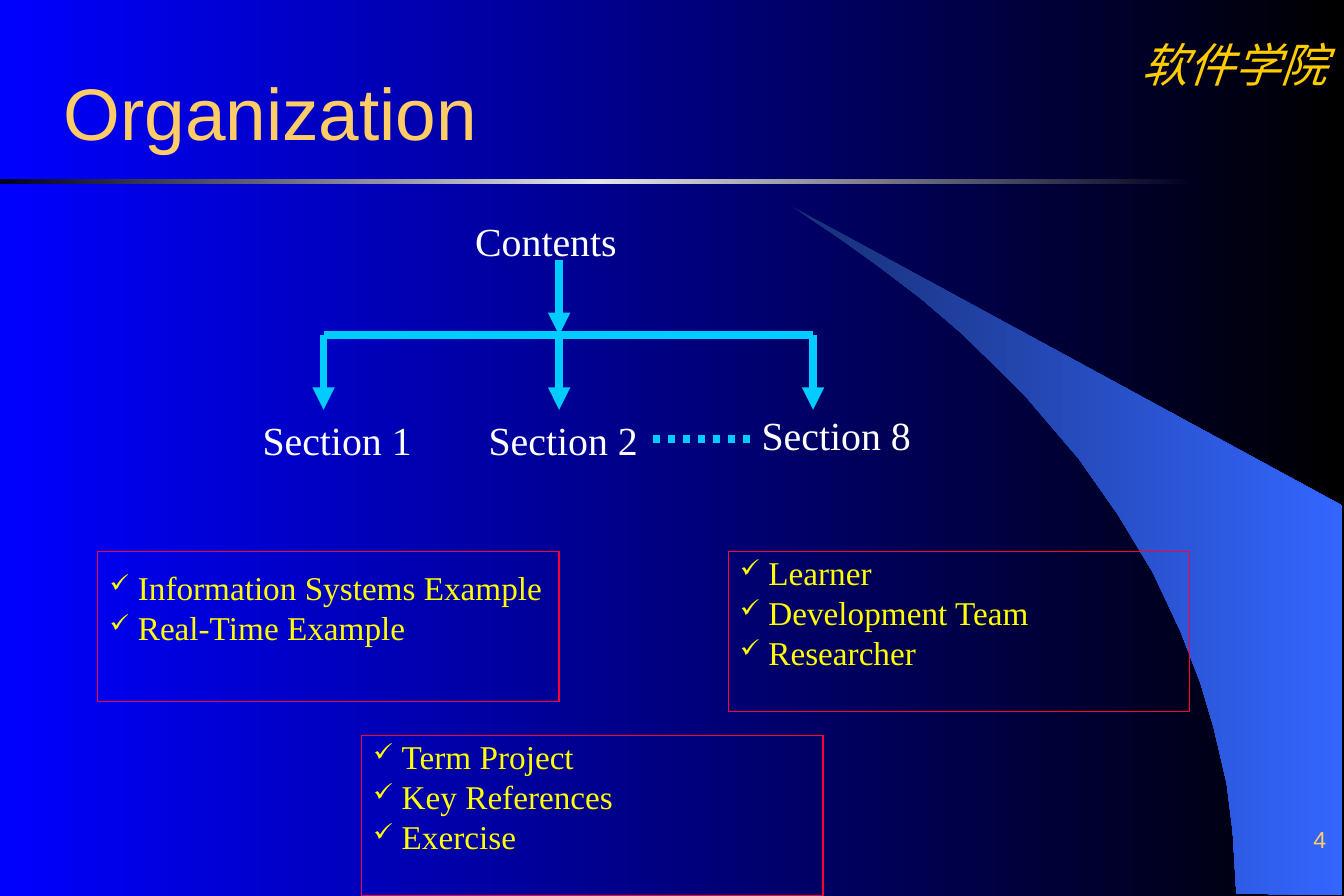
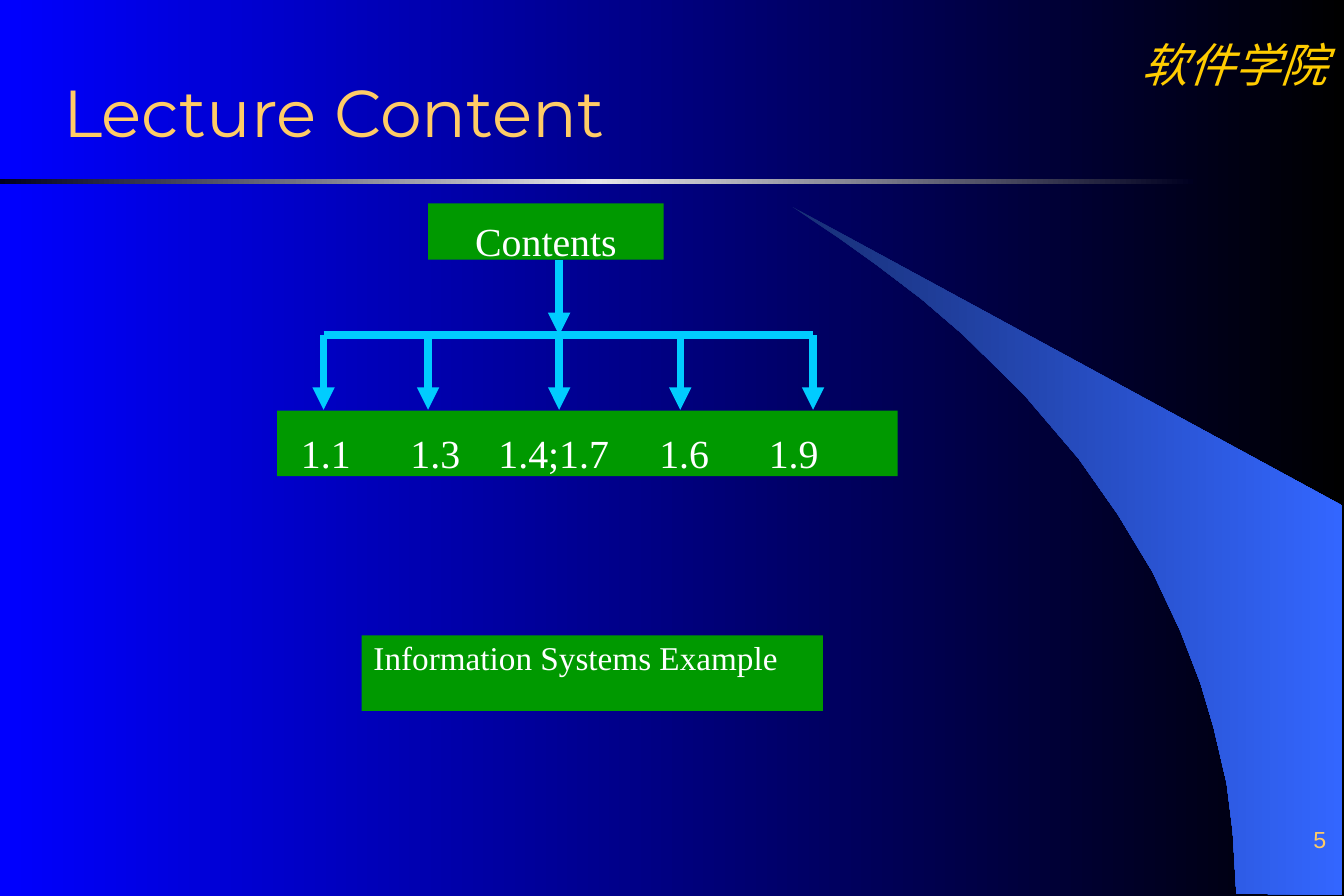
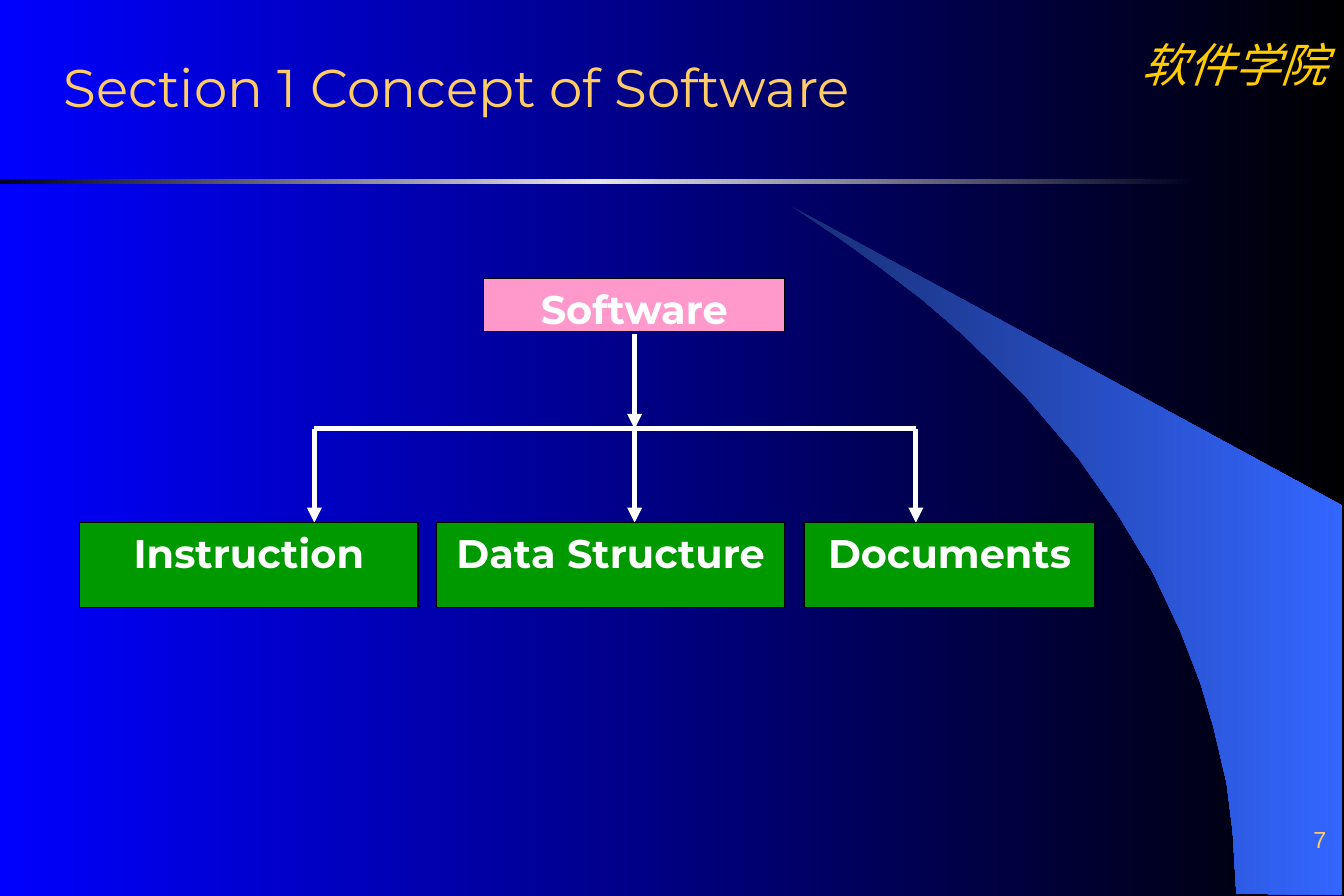
from copy import deepcopy
from dataclasses import dataclass

from lxml import etree
from pptx import Presentation
from pptx import util as u
from pptx.dml import color
from pptx.enum import dml, shapes, text
from pptx.oxml import ns


@dataclass(frozen=True)
class Theme:
    """Colours, fonts and type sizes of the deck."""
    night: tuple = ("0000FF", "000000")
    swoosh: tuple = ("182F76", "3366FF")
    rule: tuple = ("000020", "E5E5E8", "000020")
    title: str = "FFCC66"
    brand: str = "FFCC00"
    list: str = "FFFF00"
    frame: str = "FF0033"
    arrow: str = "00CCFF"
    green: str = "009900"
    pink: str = "FF99CC"
    white: str = "FFFFFF"
    black: str = "000000"
    serif: str = "Times New Roman"
    sans: str = "Arial"
    display: str = "Montserrat"
    brand_size: int = 28
    label_size: int = 24
    list_size: int = 20
    number_size: int = 14


T = Theme()
LEFT, CENTER, RIGHT = text.PP_ALIGN.LEFT, text.PP_ALIGN.CENTER, text.PP_ALIGN.RIGHT
TOP, MIDDLE, BOTTOM = (text.MSO_ANCHOR.TOP, text.MSO_ANCHOR.MIDDLE,
                       text.MSO_ANCHOR.BOTTOM)
SWOOSH = [(745.2, 538.6), (808.6, 539.3), (808.6, 304.6), (477.4, 124.6),
          (505.4, 143.3), (528.5, 159.8), (555.1, 180), (580.3, 201.6),
          (617, 237.6), (650.2, 276.5), (673.9, 310.3), (694.8, 344.9),
          (711.4, 380.2), (723.6, 411.8), (731.5, 438.5), (739.4, 472.3),
          (743, 501.1)]
LABEL = dict(spacing=1.4, align=CENTER)


def rgb(code):
    """Turn a hex code into a colour."""
    return color.RGBColor.from_string(code)


def points(*lengths):
    """Turn numbers into lengths in points."""
    return [u.Pt(length) for length in lengths]


def add_bullet(properties, mark, tint, hang):
    """Give a paragraph a hanging bullet."""
    properties.set("marL", str(u.Pt(hang)))
    properties.set("indent", str(u.Pt(-hang)))
    bullet_colour = etree.SubElement(properties, ns.qn("a:buClr"))
    etree.SubElement(bullet_colour, ns.qn("a:srgbClr"), val=tint)
    etree.SubElement(properties, ns.qn("a:buSzPct"), val="75000")
    etree.SubElement(properties, ns.qn("a:buChar"), char=mark)


def add_tabs(properties, stops):
    """Give a paragraph left tab stops."""
    tab_list = etree.SubElement(properties, ns.qn("a:tabLst"))
    for stop in stops:
        etree.SubElement(tab_list, ns.qn("a:tab"), pos=str(u.Pt(stop)), algn="l")


def write(shape, *lines, size=T.label_size, font=T.serif, tint=T.white, bold=False,
          italic=False, align=LEFT, anchor=MIDDLE, insets=(7.2, 3.6, 7.2, 3.6),
          spacing=None, bullet=None, tabs=(), wrap=True):
    """Write lines into a shape with one format."""
    frame = shape.text_frame
    frame.auto_size = text.MSO_AUTO_SIZE.NONE
    frame.word_wrap = wrap
    frame.vertical_anchor = anchor
    (frame.margin_left, frame.margin_top,
     frame.margin_right, frame.margin_bottom) = points(*insets)
    for index, line in enumerate(lines):
        paragraph = frame.add_paragraph() if index else frame.paragraphs[0]
        paragraph.alignment = align
        paragraph.line_spacing = spacing
        properties = paragraph._p.get_or_add_pPr()
        if bullet:
            add_bullet(properties, bullet, tint, hang=17)
        if tabs:
            add_tabs(properties, tabs)
        run = paragraph.add_run()
        run.text = line
        run.font.size = u.Pt(size)
        run.font.name = font
        run.font.bold = bold
        run.font.italic = italic
        run.font.color.rgb = rgb(tint)
    return shape


def add_label(slide, place, *lines, **style):
    """Add a plain text box."""
    return write(slide.shapes.add_textbox(*points(*place)), *lines, **style)


def add_box(slide, place, *lines, fill=None, outline=None, **style):
    """Add a rectangle with optional fill, outline and text."""
    box = slide.shapes.add_shape(shapes.MSO_SHAPE.RECTANGLE, *points(*place))
    box.shadow.inherit = False
    if fill:
        box.fill.solid()
        box.fill.fore_color.rgb = rgb(fill)
    else:
        box.fill.background()
    if outline:
        box.line.color.rgb = rgb(outline)
        box.line.width = u.Pt(0.75)
    else:
        box.line.fill.background()
    return write(box, *lines, **style)


def add_line(slide, start, end, tint, width, arrow=False, dotted=False):
    """Add a straight line, with an arrowhead or dots if asked."""
    line = slide.shapes.add_connector(
        shapes.MSO_CONNECTOR.STRAIGHT, *points(*start, *end))
    line.line.color.rgb = rgb(tint)
    line.line.width = u.Pt(width)
    if dotted:
        line.line.dash_style = dml.MSO_LINE.ROUND_DOT
    properties = line.element.spPr
    if arrow:
        etree.SubElement(properties.find(ns.qn("a:ln")), ns.qn("a:tailEnd"),
                         type="triangle")
    etree.SubElement(properties, ns.qn("a:effectLst"))


def add_tree(slide, trunk, top, bar, bottom, branches, tint=T.arrow, width=4.5):
    """Draw a trunk, a crossbar and one arrow per branch."""
    add_line(slide, (trunk, top), (trunk, bar), tint, width, arrow=True)
    add_line(slide, (branches[0], bar), (branches[-1], bar), tint, width)
    for branch in branches:
        add_line(slide, (branch, bar), (branch, bottom), tint, width, arrow=True)


def paint_gradient(owner, fill, tints):
    """Fill with evenly spaced colours from left to right."""
    fill.gradient()
    fill.gradient_angle = 0
    stop_list = owner.element.xpath(".//a:gsLst")[0]
    for _ in tints[2:]:
        stop_list.append(deepcopy(stop_list[0]))
    for index, (stop, tint) in enumerate(zip(fill.gradient_stops, tints)):
        stop.position = index / (len(tints) - 1)
        stop.color.rgb = rgb(tint)


def dress_master(master, slide):
    """Put the background, brand, swoosh and rule on the master."""
    paint_gradient(master, master.background.fill, T.night)
    brand = add_label(slide, (678, 18, 132, 41), "软件学院", size=T.brand_size,
                      tint=T.brand, italic=True, align=CENTER, anchor=TOP)
    outline = [points(*corner) for corner in SWOOSH]
    builder = slide.shapes.build_freeform(*outline[0], scale=1.0)
    builder.add_line_segments(outline[1:], close=True)
    swoosh = builder.convert_to_shape()
    swoosh.shadow.inherit = False
    swoosh.line.fill.background()
    paint_gradient(swoosh, swoosh.fill, T.swoosh)
    rule = add_box(slide, (0, 108, 719, 3))
    paint_gradient(rule, rule.fill, T.rule)
    for number, part in enumerate((brand, swoosh, rule), 101):
        part.element.xpath(".//p:cNvPr")[0].set("id", str(number))
        master.shapes.element.append(part.element)


def add_heading(slide, title, number, width, height=70, **style):
    """Fill in the title and the slide number."""
    heading = slide.shapes.title
    heading.left, heading.top, heading.width, heading.height = points(
        31, 32, width, height)
    write(heading, title, tint=T.title, **style)
    add_label(slide, (638, 484, 168.5, 30), number, size=T.number_size, font=T.sans,
              tint=T.title, align=RIGHT, anchor=BOTTOM, insets=(7.2, 0, 7.2, 0))


def build_organization(slide):
    """Build the map of sections."""
    add_heading(slide, "Organization", "4", 745, size=44, font=T.sans)
    add_label(slide, (258, 122.5, 142, 34), "Contents", **LABEL)
    for section, place in (("Section 1", (138, 230.5, 130.5, 57)),
                           ("Section 2", (268.5, 230.5, 142, 57)),
                           ("Section 8", (416, 230.5, 176, 51))):
        add_label(slide, place, section, **LABEL)
    add_tree(slide, 337, 157, 202, 247, (195, 337, 490))
    add_line(slide, (393.5, 264.5), (456, 264.5), T.arrow, 4.5, dotted=True)
    for place, topics in (
            ((59, 332.5, 278, 90.5), ("Information Systems Example",
                                      "Real-Time Example")),
            ((439, 332.5, 278, 96.5), ("Learner", "Development Team", "Researcher")),
            ((218, 443.5, 278, 96.5), ("Term Project", "Key References", "Exercise"))):
        add_box(slide, place, *topics, outline=T.frame, size=T.list_size, tint=T.list,
                bullet="✓", wrap=False, insets=(7.2, 3.6, 7.2, 27))


def build_lecture(slide):
    """Build the map of this lecture."""
    add_heading(slide, "Lecture Content", "5", 380, size=40, font=T.display)
    add_box(slide, (258, 122.5, 142, 34), "Contents", fill=T.green, **LABEL)
    add_tree(slide, 337, 157, 202, 247, (195, 258, 337, 410, 490))
    add_box(slide, (167, 247.5, 374, 39.5), "1.1\t1.3\t1.4;1.7\t1.6\t1.9",
            fill=T.green, spacing=1.4, tabs=(66, 119, 216, 282),
            insets=(14.4, 3.6, 14.4, 3.6))
    add_box(slide, (218, 383, 278, 45.5), "Information Systems Example", fill=T.green,
            size=T.list_size, anchor=TOP, insets=(7.2, 1, 7.2, 0))


def build_concept(slide):
    """Build the parts of software."""
    add_heading(slide, "Section 1 Concept of Software", "7", 556, 40, size=32,
                font=T.display)
    block = dict(outline=T.black, font=T.display, bold=True, align=CENTER, anchor=TOP)
    add_box(slide, (291.5, 168, 181.5, 32), "Software", fill=T.pink, **block)
    add_tree(slide, 382.5, 201.5, 258.5, 315, (189.5, 382.5, 552), T.white, 3)
    for part, left, width in (("Instruction", 48, 204), ("Data Structure", 263, 210),
                              ("Documents", 484.5, 175.5)):
        add_box(slide, (left, 315, width, 51), part, fill=T.green, **block)


def main():
    """Build and save the deck."""
    deck = Presentation()
    deck.slide_width, deck.slide_height = points(810, 540)
    title_only = deck.slide_layouts[5]
    builders = (build_organization, build_lecture, build_concept)
    slides = [deck.slides.add_slide(title_only) for _ in builders]
    dress_master(deck.slide_master, slides[0])
    for build, slide in zip(builders, slides):
        build(slide)
    deck.save("out.pptx")


if __name__ == "__main__":
    main()
